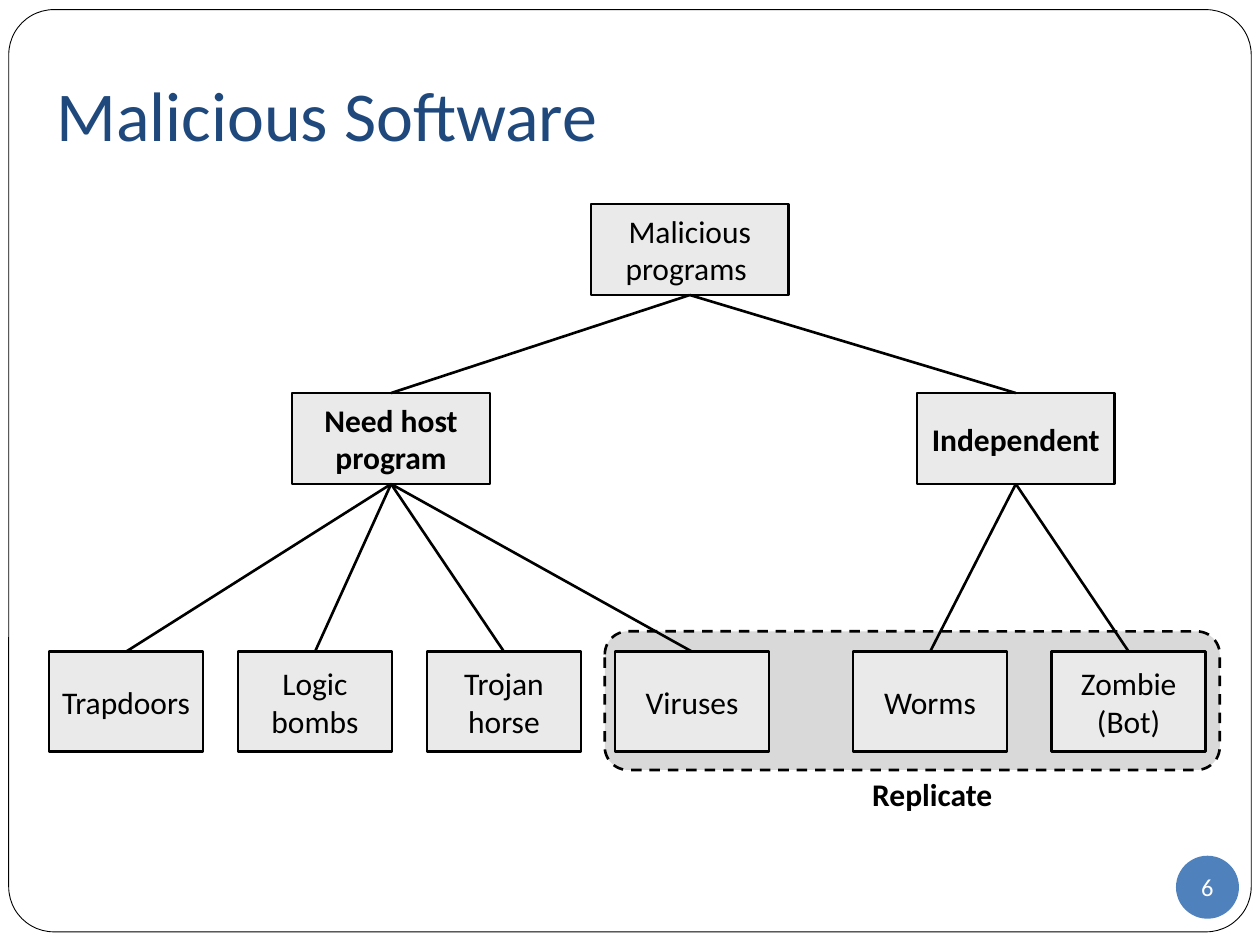
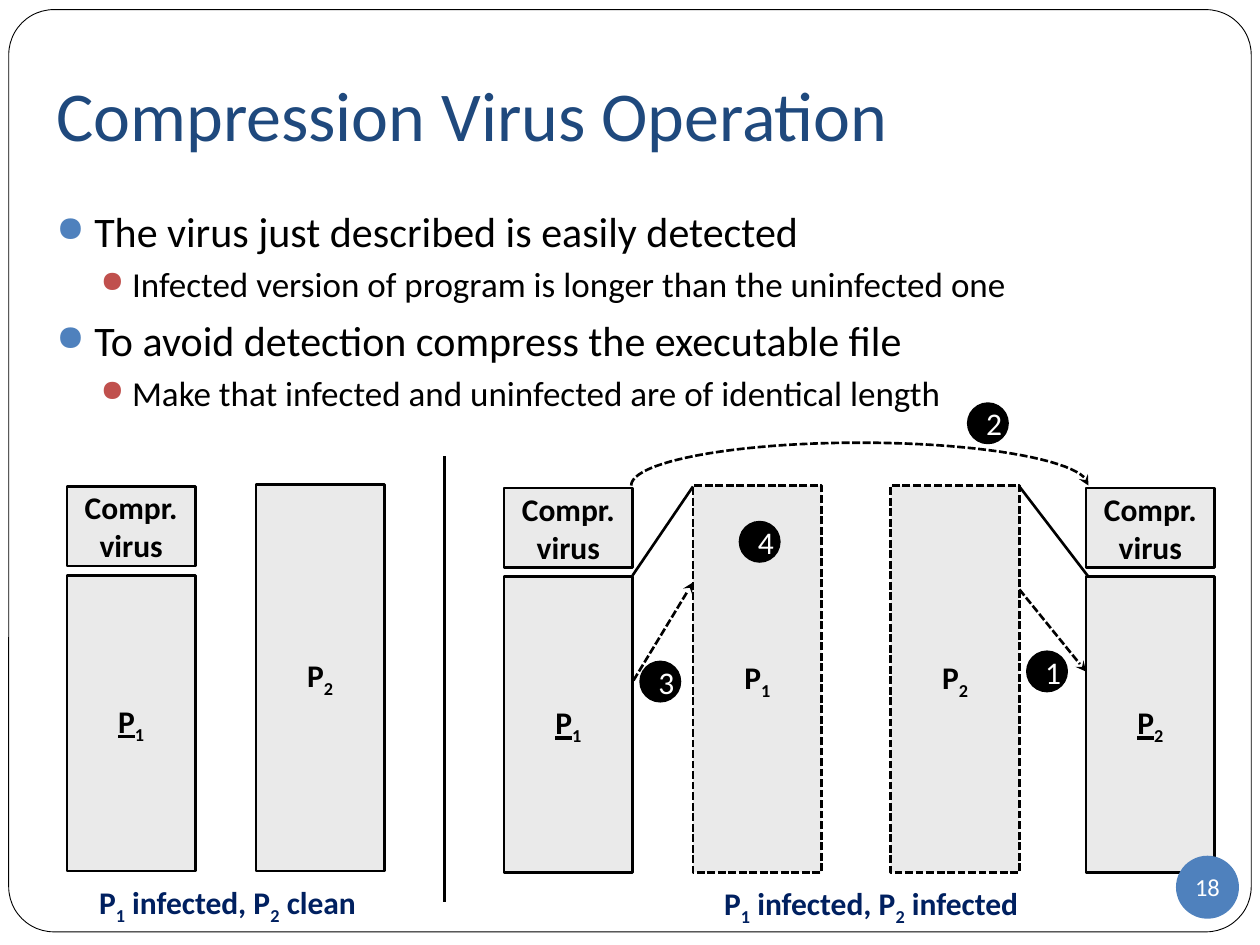
import math

from lxml import etree
from pptx import Presentation
from pptx.dml.color import RGBColor
from pptx.enum.dml import MSO_LINE
from pptx.enum.shapes import MSO_CONNECTOR, MSO_SHAPE
from pptx.enum.text import MSO_ANCHOR, PP_ALIGN
from pptx.oxml.ns import qn
from pptx.util import Pt

RECT, ROUNDED, OVAL = MSO_SHAPE.RECTANGLE, MSO_SHAPE.ROUNDED_RECTANGLE, MSO_SHAPE.OVAL
STRAIGHT = MSO_CONNECTOR.STRAIGHT
DASH, SHORT_DASH = MSO_LINE.DASH, MSO_LINE.SQUARE_DOT
MIDDLE, TOP = MSO_ANCHOR.MIDDLE, MSO_ANCHOR.TOP
CENTER, LEFT = PP_ALIGN.CENTER, PP_ALIGN.LEFT
BOX_TOP, BOX_BOTTOM = 0, 2

FONT = "Calibri"
COLORS = {
    "paper": "FFFFFF", "ink": "000000", "title": "1F497D", "badge": "4F81BD",
    "box": "EAEAEA", "group": "D9D9D9", "caption": "002060",
    "bullet": "4F81BD", "sub_bullet": "C0504D",
}
SLIDE_W, SLIDE_H = 720, 540
BAR_W = 73.5


def rgb(name):
    return RGBColor.from_string(COLORS[name])


# Shared building blocks
def style_run(run, size, color, bold=False):
    run.font.name = FONT
    run.font.size = Pt(size)
    run.font.bold = bold
    run.font.color.rgb = rgb(color)


def write(frame, text, size, color, bold=False, align=CENTER, underline=False):
    """Write one paragraph; the character after each _ becomes a subscript."""
    paragraph = frame.paragraphs[0]
    paragraph.alignment = align
    head, *tails = text.split("_")
    pieces = [(head, False)]
    for tail in tails:
        pieces += [(tail[0], True), (tail[1:], False)]
    for piece, lowered in pieces:
        if not piece:
            continue
        run = paragraph.add_run()
        run.text = piece
        style_run(run, size, color, bold)
        if lowered:
            run._r.get_or_add_rPr().set("baseline", "-25000")
        elif underline:
            run.font.underline = True


def set_line(shape, width=1.5, dash=None, arrow=False):
    line = shape.line
    line.color.rgb = rgb("ink")
    line.width = Pt(width)
    if dash is not None:
        line.dash_style = dash
    if arrow:
        outline = shape._element.spPr.find(qn("a:ln"))
        etree.SubElement(outline, qn("a:tailEnd"), type="stealth")


def add_block(slide, kind, left, top, width, height, fill, line_width=1.5, dash=None):
    block = slide.shapes.add_shape(kind, Pt(left), Pt(top), Pt(width), Pt(height))
    block.shadow.inherit = False
    block.fill.solid()
    block.fill.fore_color.rgb = rgb(fill)
    if line_width:
        set_line(block, line_width, dash)
    else:
        block.line.fill.background()
    return block


def add_box(slide, left, top, width, height, text, bold=False, underline=False, dash=None):
    box = add_block(slide, RECT, left, top, width, height, "box", dash=dash)
    write(box.text_frame, text, 18, "ink", bold, underline=underline)
    return box


def add_label(slide, left, top, width, height, wrap=True, anchor=TOP):
    frame = slide.shapes.add_textbox(Pt(left), Pt(top), Pt(width), Pt(height)).text_frame
    frame.word_wrap = wrap
    frame.vertical_anchor = anchor
    return frame


def add_link(slide, x1, y1, x2, y2, dash=None, arrow=False):
    link = slide.shapes.add_connector(STRAIGHT, Pt(x1), Pt(y1), Pt(x2), Pt(y2))
    etree.SubElement(link._element.spPr, qn("a:effectLst"))
    set_line(link, dash=dash, arrow=arrow)
    return link


# Slide frame, title and page number
def start_slide(prs, title):
    slide = prs.slides.add_slide(prs.slide_layouts[6])
    border = add_block(slide, ROUNDED, 5, 5.5, SLIDE_W - 10, 527, "paper", 0.5)
    border.adjustments[0] = 0.049
    frame = add_label(slide, 25.2, 21.6, 674.6, 90, anchor=MIDDLE)
    frame.margin_bottom = Pt(7.2)
    write(frame, title, 40, "title", align=LEFT)
    return slide


def add_page_number(slide, number):
    badge = add_block(slide, OVAL, 672, 489, 36, 36, "badge", line_width=0)
    frame = badge.text_frame
    frame.margin_left = frame.margin_right = frame.margin_top = frame.margin_bottom = 0
    frame.word_wrap = False
    write(frame, str(number), 14, "paper")


# Tree of malicious programs
def add_tree(slide, left, top):
    branch_w, branch_h, leaf_w, leaf_h = 113, 52, 88, 57
    leaf_top = top + 255.8

    # Group behind the replicating leaves
    add_block(slide, ROUNDED, left + 317.6, top + 244.2, 351.4, 79.2, "group", dash=DASH)
    caption = add_label(slide, left + 463, top + 322.7, 83.5, 28.8, wrap=False)
    write(caption, "Replicate", 18, "ink", bold=True)

    root = add_box(slide, left + 309.7, top, branch_w, branch_h, "Malicious programs ")
    branches = [
        ("Need host program", 139,
         [("Trapdoors", 0), ("Logic bombs", 108), ("Trojan horse", 216), ("Viruses", 323.5)]),
        ("Independent", 496, [("Worms", 459.5), ("Zombie (Bot)", 573)]),
    ]
    edges = []
    for branch_name, branch_x, leaves in branches:
        branch = add_box(slide, left + branch_x, top + 108, branch_w, branch_h,
                         branch_name, bold=True)
        edges.append((branch, root))
        for leaf_name, leaf_x in leaves:
            leaf = add_box(slide, left + leaf_x, leaf_top, leaf_w, leaf_h, leaf_name)
            edges.append((leaf, branch))

    for child, parent in edges:
        edge = add_link(slide, 0, 0, 0, 0)
        edge.begin_connect(child, BOX_TOP)
        edge.end_connect(parent, BOX_BOTTOM)


# Bulleted text
def add_bullets(slide, left, top, width, height, items):
    # size, space before, indent, hanging, bullet colour
    levels = [(24, 5.8, 21.6, 21.6, "bullet"), (20, 3.7, 43.2, 18, "sub_bullet")]
    frame = add_label(slide, left, top, width, height)
    for index, (level, text) in enumerate(items):
        size, space, indent, hanging, color = levels[level]
        paragraph = frame.add_paragraph() if index else frame.paragraphs[0]
        paragraph.text = text
        paragraph.level = level
        props = paragraph._p.get_or_add_pPr()
        props.set("marL", str(Pt(indent)))
        props.set("indent", str(-Pt(hanging)))
        bullet_color = etree.SubElement(props, qn("a:buClr"))
        etree.SubElement(bullet_color, qn("a:srgbClr"), val=COLORS[color])
        etree.SubElement(props, qn("a:buSzPct"), val="85000")
        etree.SubElement(props, qn("a:buChar"), char="●")
        if index:
            paragraph.space_before = Pt(space)
        style_run(paragraph.runs[0], size, "ink")


# Program bars and steps of the compression virus
def add_infected(slide, left, top, program):
    add_box(slide, left, top, BAR_W, 45.4, "Compr. virus", bold=True)
    add_box(slide, left, top + 50.8, BAR_W, 169, program, bold=True, underline=True)


def add_program(slide, left, top, program, dash=None):
    add_box(slide, left, top - 1.2, BAR_W, 221, program, bold=True, dash=dash)


def add_caption(slide, left, top, width, text):
    write(add_label(slide, left, top, width, 31.7, wrap=False), text, 18, "caption", bold=True)


def add_before(slide, left, top):
    add_infected(slide, left, top, "P_1")
    add_program(slide, left + 108, top, "P_2")
    add_caption(slide, left + 10.8, top + 223, 162, "P_1 infected, P_2 clean")


def add_jump(slide, left, top, width, height, steps=48):
    """Draw the upper half of an ellipse as a dashed arrow."""
    points = []
    for step in range(steps + 1):
        angle = math.pi * step / steps
        points.append((Pt(left + width / 2 * (1 - math.cos(angle))),
                       Pt(top + height * (1 - math.sin(angle)))))
    outline = slide.shapes.build_freeform(*points[0])
    outline.add_line_segments(points[1:], close=False)
    jump = outline.convert_to_shape()
    jump.shadow.inherit = False
    jump.fill.background()
    set_line(jump, dash=SHORT_DASH, arrow=True)


def add_after(slide, left, top):
    add_infected(slide, left, top, "P_1")
    add_program(slide, left + 108, top, "P_1", SHORT_DASH)
    add_program(slide, left + 221, top, "P_2", SHORT_DASH)
    add_infected(slide, left + 332.6, top, "P_2")
    add_caption(slide, left + 118, top + 223, 183.6, "P_1 infected, P_2 infected")

    # Size guides, then the compression arrows
    for x1, y1, x2, y2, dashed in [
        (73.5, 50, 108, -0.8, False), (334, 50.8, 294.5, -0.8, False),
        (294.5, 58, 332.6, 105, True), (74, 110, 108, 54, True),
    ]:
        add_link(slide, left + x1, top + y1, left + x2, top + y2,
                 SHORT_DASH if dashed else None, dashed)
    add_jump(slide, left + 72.7, top - 25.8, 261.3, 24.5)

    # Numbered steps
    for number, (x, y) in enumerate([(298.8, 93.4), (265, -48.4), (77.8, 99.2), (134.6, 19.3)], 1):
        marker = add_block(slide, OVAL, left + x, top + y, 23, 23, "ink", 1)
        write(marker.text_frame, str(number), 18, "paper")


def main():
    prs = Presentation()
    prs.slide_width, prs.slide_height = Pt(SLIDE_W), Pt(SLIDE_H)

    tree_slide = start_slide(prs, "Malicious Software")
    add_tree(tree_slide, 28, 116.6)
    add_page_number(tree_slide, 6)

    virus_slide = start_slide(prs, "Compression Virus Operation")
    add_bullets(virus_slide, 25.2, 113.8, 674.6, 405.4, [
        (0, "The virus just described is easily detected"),
        (1, "Infected version of program is longer than the uninfected one"),
        (0, "To avoid detection compress the executable file"),
        (1, "Make that infected and uninfected are of identical length"),
    ])
    add_before(virus_slide, 38.2, 278)
    add_link(virus_slide, 254, 260.6, 254, 515.5)
    add_after(virus_slide, 288, 278.8)
    add_page_number(virus_slide, 18)

    prs.save("out.pptx")


if __name__ == "__main__":
    main()
